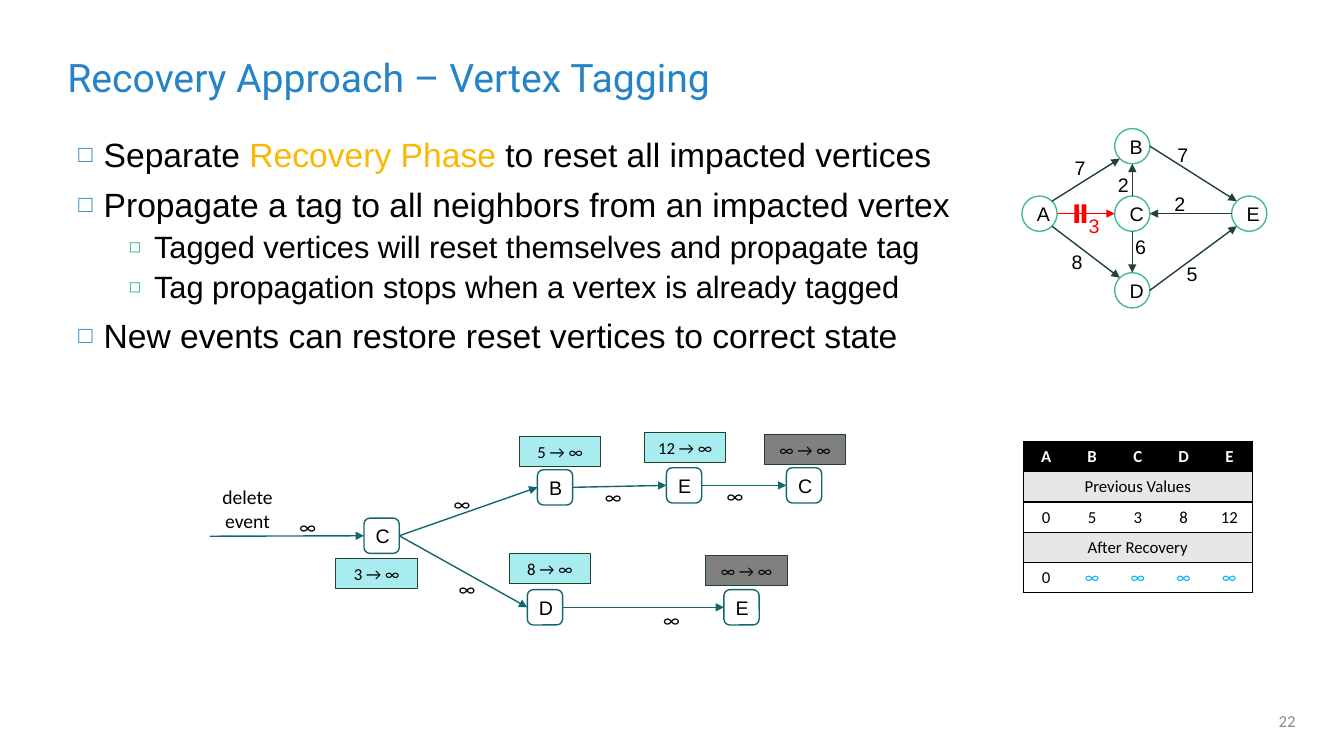
import math

import pptx
import pptx.dml.color
import pptx.enum.shapes
import pptx.enum.text
import pptx.oxml
import pptx.oxml.ns
import pptx.util

Inches = pptx.util.Inches
Pt = pptx.util.Pt
RGB = pptx.dml.color.RGBColor.from_string
SHAPE = pptx.enum.shapes.MSO_SHAPE
STRAIGHT = pptx.enum.shapes.MSO_CONNECTOR.STRAIGHT
ALIGN = pptx.enum.text.PP_ALIGN
ANCHOR = pptx.enum.text.MSO_ANCHOR
NS = pptx.oxml.ns.nsdecls("a")


class Theme:
    title_font, body_font, small_font = "Roboto", "Arial", "Calibri"
    title_size, body_size, sub_size, node_size, small_size = 28, 24, 22, 14, 12
    black, white, blue, green = "000000", "FFFFFF", "2683C6", "42BA97"
    gold, teal, dark_green, red = "FBB704", "13676C", "1F442A", "FF0000"
    reset_fill, tagged_fill = "A8ECEF", "808080"
    band, infinity, page = "E7E7E7", "00B0F0", "8C8C8C"


def add_run(paragraph, text, font, size, color=Theme.black, bold=False):
    run = paragraph.add_run()
    run.text = text
    for name, value in {"name": font, "size": Pt(size), "bold": bold}.items():
        setattr(run.font, name, value)
    run.font.color.rgb = RGB(color)


def add_arrow(start, end, color):
    arrow = slide.shapes.add_connector(STRAIGHT, *map(Inches, start + end))
    arrow.line.color.rgb = RGB(color)
    arrow.line.width = Pt(1)
    arrow.get_or_add_ln().append(pptx.oxml.parse_xml(f'<a:tailEnd {NS} type="triangle"/>'))
    arrow._element.spPr.append(pptx.oxml.parse_xml(f"<a:effectLst {NS}/>"))
    return arrow


deck = pptx.Presentation()
deck.slide_width, deck.slide_height = Inches(13.33), Inches(7.5)
slide = deck.slides.add_slide(deck.slide_layouts[6])

# Bulleted points
points = [
    (0, [("Separate ", Theme.black), ("Recovery Phase", Theme.gold),
         (" to reset all impacted vertices", Theme.black)]),
    (0, [("Propagate a tag to all neighbors from an impacted vertex", Theme.black)]),
    (1, [("Tagged vertices will reset themselves and propagate tag", Theme.black)]),
    (1, [("Tag propagation stops when a vertex is already tagged", Theme.black)]),
    (0, [("New events can restore reset vertices to correct state", Theme.black)]),
]
# indent, type size, space before, bullet, bullet colour, bullet percentage
levels = [
    (0.25, Theme.body_size, 10, "□", Theme.blue, 70),
    (0.75, Theme.sub_size, 5, "◻", Theme.green, 65),
]
body = slide.shapes.add_textbox(*map(Inches, (0.68, 1.32, 9.09, 2.68))).text_frame
body.word_wrap = True
for index, (level, runs) in enumerate(points):
    indent, size, before, bullet, bullet_color, percent = levels[level]
    point = body.add_paragraph() if index else body.paragraphs[0]
    for name, value in {"level": level, "line_spacing": 0.9, "space_before": Pt(before)}.items():
        setattr(point, name, value)
    for text, color in runs:
        add_run(point, text, Theme.body_font, size, color)
    properties = point._p.get_or_add_pPr()
    properties.set("marL", str(Inches(indent)))
    properties.set("indent", str(Inches(-0.25)))
    for xml in (
        f'<a:buClr {NS}><a:srgbClr val="{bullet_color}"/></a:buClr>',
        f'<a:buSzPct {NS} val="{percent * 1000}"/>',
        f'<a:buFont {NS} typeface="{Theme.body_font}"/>',
        f'<a:buChar {NS} char="{bullet}"/>',
    ):
        properties.append(pptx.oxml.parse_xml(xml))

# Vertices of the graph and the propagation tree, and the state boxes
vertex = 0.35
graph = {"A": (10.31, 2.12), "B": (11.23, 1.45), "C": (11.23, 2.12),
         "D": (11.23, 2.88), "E": (12.39, 2.12)}
tree = {"C": (3.61, 5.14), "B": (5.33, 4.66), "D": (5.23, 5.85),
        "E": (6.61, 4.64), "C again": (7.8, 4.64), "E again": (7.18, 5.85)}
states = [
    ("3 → ∞", 3.33, 5.54), ("8 → ∞", 5.05, 5.49), ("5 → ∞", 5.15, 4.33),
    ("12 → ∞", 6.39, 4.29), ("∞ → ∞", 7.58, 4.31), ("∞ → ∞", 7, 5.51),
]
boxes = [
    (name, name, SHAPE.OVAL, (x - vertex / 2, y - vertex / 2, vertex, vertex),
     Theme.white, Theme.green, 1, Theme.body_font, Theme.node_size)
    for name, (x, y) in graph.items()
] + [
    (name, name[0], SHAPE.ROUNDED_RECTANGLE, (left, top, vertex, vertex),
     Theme.white, Theme.teal, 1, Theme.body_font, Theme.node_size)
    for name, (left, top) in tree.items()
] + [
    (text, text, SHAPE.RECTANGLE, (left, top, 0.81, 0.3),
     Theme.tagged_fill if text[0] == "∞" else Theme.reset_fill,
     Theme.dark_green, 0.75, Theme.small_font, Theme.small_size)
    for text, left, top in states
]
drawn = {}
for name, text, preset, area, fill, outline, width, font, size in boxes:
    box = slide.shapes.add_shape(preset, *map(Inches, area))
    box.shadow.inherit = False
    box.fill.solid()
    box.fill.fore_color.rgb = RGB(fill)
    box.line.color.rgb = RGB(outline)
    box.line.width = Pt(width)
    box.text_frame.vertical_anchor = ANCHOR.MIDDLE
    box.text_frame.paragraphs[0].alignment = ALIGN.CENTER
    add_run(box.text_frame.paragraphs[0], text, font, size)
    drawn[name] = box

# Propagation arrows run from right side to left side
add_arrow((2.08, 5.32), (3.61, 5.32), Theme.teal).end_connect(drawn["C"], 1)
for source, target in [("C", "B"), ("C", "D"), ("B", "E"), ("E", "C again"), ("D", "E again")]:
    step = add_arrow(tree[source], tree[target], Theme.teal)
    step.begin_connect(drawn[source], 3)
    step.end_connect(drawn[target], 1)

# Graph edges leave and reach a circle at an angle, clockwise from the right
edges = [
    ("A", -45, "B", 135), ("A", 0, "C", 180), ("A", 45, "D", 225), ("C", -90, "B", 90),
    ("C", 90, "D", -90), ("B", 0, "E", 225), ("D", 0, "E", 135), ("E", 180, "C", 0),
]
for source, leave, target, reach in edges:
    ends = [
        (graph[name][0] + vertex / 2 * math.cos(math.radians(angle)),
         graph[name][1] + vertex / 2 * math.sin(math.radians(angle)))
        for name, angle in ((source, leave), (target, reach))
    ]
    add_arrow(*ends, Theme.red if source + target == "AC" else Theme.dark_green)

deletion_mark = slide.shapes.add_shape(SHAPE.MATH_EQUAL, *map(Inches, (10.59, 2.02, 0.25, 0.2)))
deletion_mark.rotation = 90
deletion_mark.shadow.inherit = False
deletion_mark.fill.solid()
deletion_mark.fill.fore_color.rgb = RGB(Theme.red)
deletion_mark.line.fill.background()

# Title, page number and labels
weights = [("7", 10.56, 1.5), ("3", 10.7, 2.07), ("2", 10.99, 1.67), ("7", 11.58, 1.37),
           ("5", 11.67, 2.55), ("2", 11.55, 1.86), ("8", 10.53, 2.43), ("6", 11.16, 2.28)]
tags = [(2.87, 5.06), (5.9, 4.76), (7.11, 4.75), (4.4, 4.83), (4.45, 5.67), (6.48, 5.98)]
captions = [
    ("Recovery Approach – Vertex Tagging", (0.57, 0.44, 12.14, 0.64), Theme.title_font,
     Theme.title_size, Theme.blue, ALIGN.LEFT, ANCHOR.MIDDLE),
    ("delete event", (2.07, 4.76, 0.77, 0.57), Theme.small_font,
     Theme.node_size, Theme.black, ALIGN.CENTER, ANCHOR.MIDDLE),
    ("22", (9.95, 6.95, 3, 0.4), Theme.small_font,
     Theme.small_size, Theme.page, ALIGN.RIGHT, ANCHOR.MIDDLE),
] + [
    (weight, (left, top, 0.26, 0.34), Theme.body_font, Theme.node_size,
     Theme.red if weight == "3" else Theme.black, ALIGN.LEFT, ANCHOR.TOP)
    for weight, left, top in weights
] + [
    ("∞", (left, top, 0.43, 0.34), Theme.small_font, Theme.node_size,
     Theme.black, ALIGN.LEFT, ANCHOR.TOP)
    for left, top in tags
]
for text, area, font, size, color, align, anchor in captions:
    caption = slide.shapes.add_textbox(*map(Inches, area)).text_frame
    caption.word_wrap = True
    caption.vertical_anchor = anchor
    caption.paragraphs[0].alignment = align
    add_run(caption.paragraphs[0], text, font, size, color)

# Table of vertex values
value_rows = [
    ["A", "B", "C", "D", "E"],
    ["Previous Values"],
    ["0", "5", "3", "8", "12"],
    ["After Recovery"],
    ["0", "∞", "∞", "∞", "∞"],
]
fills = [Theme.black, Theme.band, Theme.white, Theme.band, Theme.white]
values = slide.shapes.add_table(5, 5, *map(Inches, (10.15, 4.38, 2.27, 1.5))).table
for row, texts in enumerate(value_rows):
    if len(texts) == 1:
        values.cell(row, 0).merge(values.cell(row, 4))
    for column in range(5):
        cell = values.cell(row, column)
        sides = {"L": column == 0, "R": column == 4 or len(texts) == 1, "T": True, "B": True}
        for side, visible in sides.items():
            paint = (f'<a:solidFill><a:srgbClr val="{Theme.black}"/></a:solidFill>'
                     if visible else "<a:noFill/>")
            cell._tc.get_or_add_tcPr().append(pptx.oxml.parse_xml(
                f'<a:ln{side} {NS} w="{Pt(1)}">{paint}</a:ln{side}>'))
        cell.fill.solid()
        cell.fill.fore_color.rgb = RGB(fills[row])
        cell.vertical_anchor = ANCHOR.MIDDLE
        if column < len(texts):
            text = texts[column]
            color = Theme.white if row == 0 else Theme.infinity if text == "∞" else Theme.black
            cell.text_frame.paragraphs[0].alignment = ALIGN.CENTER
            add_run(cell.text_frame.paragraphs[0], text, Theme.small_font,
                    Theme.small_size, color, row == 0)

deck.save("out.pptx")
